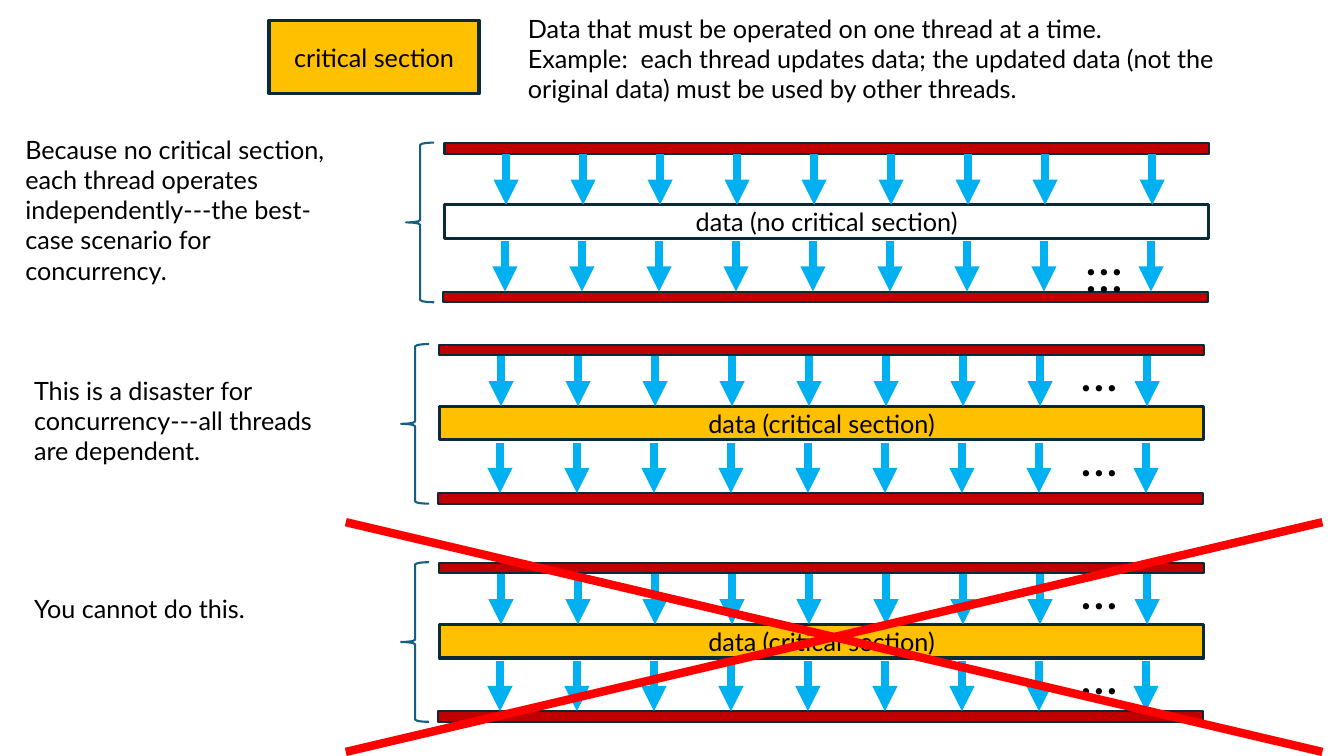
from dataclasses import dataclass

from pptx import Presentation
from pptx.dml.color import RGBColor
from pptx.enum.shapes import MSO_CONNECTOR as Connector, MSO_SHAPE as Shape
from pptx.enum.text import MSO_ANCHOR as Anchor, MSO_AUTO_SIZE as AutoSize, PP_ALIGN as Align
from pptx.oxml.ns import qn
from pptx.oxml.xmlchemy import OxmlElement
from pptx.util import Pt


@dataclass(frozen=True)
class Theme:
    font: str = "Lato"
    body_size: int = 18
    dots_size: int = 36
    text: str = "000000"
    outline: str = "092A39"
    critical: str = "FFC000"
    barrier: str = "C00000"
    thread: str = "00B0F0"
    brace: str = "156082"
    cross: str = "FF0000"


THEME = Theme()

# Layout of one thread diagram, relative to its top left corner
BAR_WIDTH, BAR_HEIGHT = 546, 7.5
DATA_TOP, DATA_HEIGHT = 44, 24
ARROW_LENGTH = 36
UPPER_ARROW_TOP, LOWER_ARROW_TOP = 8, 70
LOWER_BAR_TOP = 106
LOWER_SHIFT = -0.8
ARROW_OFFSETS = [44 + 55 * index for index in range(8)] + [505.5]
DOTS_LEFT = 450.7
UPPER_DOTS, LOWER_DOTS, LOWEST_DOTS = -6.3, 54.7, 67


def color(value):
    return RGBColor.from_string(value)


def format_text(text_frame, size, align=Align.LEFT):
    for paragraph in text_frame.paragraphs:
        paragraph.alignment = align
        for run in paragraph.runs:
            run.font.name = THEME.font
            run.font.size = Pt(size)
            run.font.color.rgb = color(THEME.text)


def add_block(slide, kind, left, top, width, height, line, line_width, fill=None, text=None):
    shape = slide.shapes.add_shape(kind, Pt(left), Pt(top), Pt(width), Pt(height))
    shape.shadow.inherit = False
    shape.line.color.rgb = color(line)
    shape.line.width = Pt(line_width)
    if fill:
        shape.fill.solid()
        shape.fill.fore_color.rgb = color(fill)
    else:
        shape.fill.background()
    if text:
        shape.text_frame.text = text
        shape.text_frame.vertical_anchor = Anchor.MIDDLE
        format_text(shape.text_frame, THEME.body_size, Align.CENTER)


def add_text(slide, left, top, width, height, text, size=THEME.body_size, wrap=True):
    box = slide.shapes.add_textbox(Pt(left), Pt(top), Pt(width), Pt(height))
    box.text_frame.word_wrap = wrap
    box.text_frame.auto_size = AutoSize.SHAPE_TO_FIT_TEXT
    box.text_frame.text = text
    format_text(box.text_frame, size)


def add_line(slide, start, end, line, arrow=False):
    connector = slide.shapes.add_connector(
        Connector.STRAIGHT, *(Pt(value) for value in (*start, *end)))
    connector.line.color.rgb = color(line)
    connector.line.width = Pt(6)
    properties = connector._element.spPr
    properties.append(OxmlElement("a:effectLst"))
    if arrow:
        tail = OxmlElement("a:tailEnd")
        tail.set("type", "triangle")
        properties.find(qn("a:ln")).append(tail)


def add_barrier(slide, left, top):
    add_block(slide, Shape.RECTANGLE, left, top, BAR_WIDTH, BAR_HEIGHT,
              THEME.outline, 1.5, THEME.barrier)


def add_threads(slide, left, top):
    for offset in ARROW_OFFSETS:
        x = left + offset
        add_line(slide, (x, top), (x, top + ARROW_LENGTH), THEME.thread, arrow=True)


def add_diagram(slide, left, top, label, fill, dots_offsets):
    # Upper barrier, data and incoming threads
    add_barrier(slide, left, top)
    add_block(slide, Shape.RECTANGLE, left, top + DATA_TOP, BAR_WIDTH, DATA_HEIGHT,
              THEME.outline, 2.25, fill, label)
    add_threads(slide, left, top + UPPER_ARROW_TOP)

    # Lower barrier and outgoing threads
    add_block(slide, Shape.LEFT_BRACE, left - 27.4, top - 0.4, 20, 114, THEME.brace, 1.5)
    add_barrier(slide, left + LOWER_SHIFT, top + LOWER_BAR_TOP)
    add_threads(slide, left + LOWER_SHIFT, top + LOWER_ARROW_TOP)

    # Marks for further threads
    for offset in dots_offsets:
        add_text(slide, left + DOTS_LEFT, top + offset, 44.6, 51, "…",
                 THEME.dots_size, wrap=False)


def main():
    presentation = Presentation()
    presentation.slide_width, presentation.slide_height = Pt(960), Pt(540)
    slide = presentation.slides.add_slide(presentation.slide_layouts[6])

    # Definition
    add_block(slide, Shape.RECTANGLE, 192.2, 14.4, 150, 52.6, THEME.outline, 2.25,
              THEME.critical, "critical section")
    add_text(slide, 370, 5.8, 528.5, 72.7,
             "Data that must be operated on one thread at a time.\n"
             "Example:  each thread updates data; the updated data (not the "
             "original data) must be used by other threads.")

    # Three scenarios
    add_diagram(slide, 317.5, 102.3, "data (no critical section)", None,
                (LOWER_DOTS, LOWEST_DOTS))
    for top in (246.2, 402):
        add_diagram(slide, 313.9, top, "data (critical section)", THEME.critical,
                    (UPPER_DOTS, LOWER_DOTS))

    # Comments on the scenarios
    add_text(slide, 11, 92.2, 239.8, 116.6,
             "Because no critical section, each thread operates "
             "independently---the best-case scenario for concurrency.")
    add_text(slide, 17.3, 264.5, 239.8, 72.7,
             "This is a disaster for concurrency---all threads are dependent.")
    add_text(slide, 17.3, 420.5, 239.8, 29, "You cannot do this.")

    # Cross over the last scenario
    cross_left, cross_right, cross_top, cross_bottom = 247, 944.6, 373, 537.1
    add_line(slide, (cross_right, cross_top), (cross_left, cross_bottom), THEME.cross)
    add_line(slide, (cross_right, cross_bottom), (cross_left, cross_top), THEME.cross)

    presentation.save("out.pptx")


if __name__ == "__main__":
    main()
